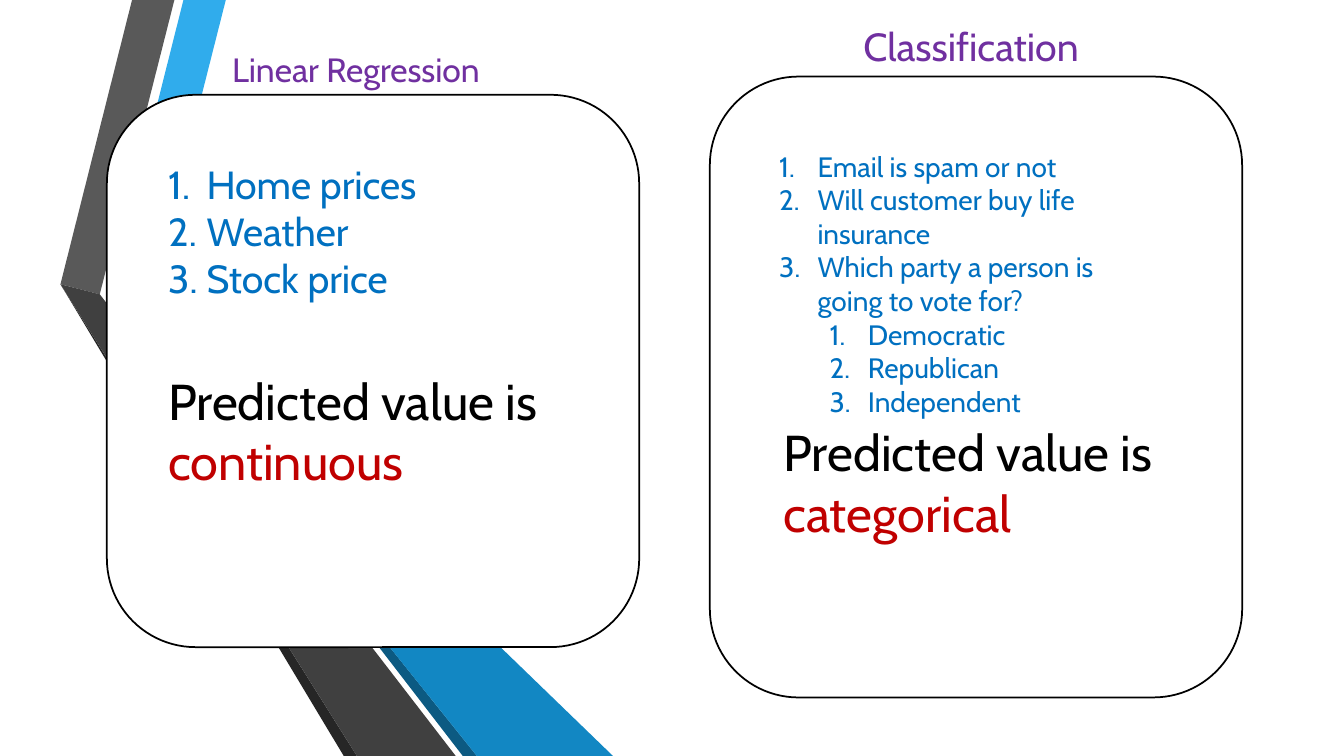
from lxml.etree import SubElement
from pptx import Presentation
from pptx.dml.color import RGBColor
from pptx.enum.shapes import MSO_SHAPE
from pptx.enum.text import MSO_AUTO_SIZE, PP_ALIGN
from pptx.oxml.ns import qn
from pptx.util import Inches, Pt

FONT = "Cabin"
COLORS = {
    "white": "FFFFFF", "black": "000000", "heading": "7030A0",
    "list": "0070C0", "accent": "C00000", "sky": "30ACEC",
    "gray": "595959", "dark": "262626", "navy": "0C5A82",
    "blue": "1287C3", "charcoal": "404040",
}
RIBBONS = [
    ("sky", [(1.08, 2.94), (1.47, 3.04), (2.24, 0), (1.82, 0)]),
    ("gray", [(0.99, 2.92), (1.73, 0), (1.31, 0), (0.6, 2.82)]),
    ("dark", [(0.6, 2.82), (3.41, 7.5), (3.54, 7.5)]),
    ("navy", [(1.08, 2.94), (4.59, 7.5), (4.73, 7.5)]),
    ("blue", [(1.08, 2.94), (4.73, 7.5), (6.08, 7.5), (1.47, 3.04)]),
    ("charcoal", [(0.6, 2.82), (3.54, 7.5), (4.52, 7.5), (0.99, 2.92)]),
]


def rgb(name):
    return RGBColor.from_string(COLORS[name])


def add_ribbons(s, x, y):
    for color, points in RIBBONS:
        corners = [(Inches(x + px), Inches(y + py)) for px, py in points]
        builder = s.shapes.build_freeform(*corners[0], scale=1.0)
        builder.add_line_segments(corners[1:], close=True)
        sp = builder.convert_to_shape()
        sp.shadow.inherit = False
        sp.fill.solid()
        sp.fill.fore_color.rgb = rgb(color)
        sp.line.fill.background()


def number_paragraph(p, level):
    p.level = level
    pPr = p._p.get_or_add_pPr()
    pPr.set("marL", str(Inches(0.38 + 0.5 * level)))
    pPr.set("indent", str(Inches(-0.38)))
    SubElement(pPr, qn("a:buFont"), typeface="+mj-lt")
    SubElement(pPr, qn("a:buAutoNum"), type="arabicPeriod")


def add_text(s, box, lines, size, align=PP_ALIGN.LEFT, numbered=False):
    tf = s.shapes.add_textbox(*map(Inches, box)).text_frame
    tf.word_wrap = True
    tf.auto_size = MSO_AUTO_SIZE.SHAPE_TO_FIT_TEXT
    for i, (text, color, level) in enumerate(lines):
        p = tf.add_paragraph() if i else tf.paragraphs[0]
        p.alignment = align
        if numbered:
            number_paragraph(p, level)
        r = p.add_run()
        r.text = text
        r.font.name = FONT
        r.font.size = Pt(size)
        r.font.color.rgb = rgb(color)


def add_frame(s, box):
    sp = s.shapes.add_shape(MSO_SHAPE.ROUNDED_RECTANGLE, *map(Inches, box))
    sp.shadow.inherit = False
    sp.fill.solid()
    sp.fill.fore_color.rgb = rgb("white")
    sp.line.color.rgb = rgb("black")
    sp.line.width = Pt(1.25)


def add_card(s, box, heading, examples, verdict):
    x, y = box[:2]

    def place(dx, dy, w, h):
        return x + dx, y + dy, w, h

    add_frame(s, box)
    title, title_box, title_size = heading
    add_text(s, place(*title_box), [(title, "heading", 0)], title_size, PP_ALIGN.CENTER)
    items, list_box, list_size = examples
    lines = [(text, "list", level) for text, level in items]
    add_text(s, place(*list_box), lines, list_size, numbered=True)
    kind, verdict_box = verdict
    lines = [("Predicted value is", "black", 0), (kind, "accent", 0)]
    add_text(s, place(*verdict_box), lines, 36)


def main():
    prs = Presentation()
    prs.slide_width, prs.slide_height = Inches(13.33), Inches(7.5)
    s = prs.slides.add_slide(prs.slide_layouts[6])
    add_ribbons(s, 0, 0)
    add_card(
        s, (7.04, 0.76, 5.28, 6.16),
        ("Classification", (0.96, -0.59, 3.26, 0.57), 28),
        ([("Email is spam or not", 0),
          ("Will customer buy life insurance", 0),
          ("Which party a person is going to vote for?", 0),
          ("Democratic", 1), ("Republican", 1), ("Independent", 1)],
         (0.59, 0.67, 3.98, 2.79), 20),
        ("categorical", (0.63, 3.37, 4.01, 1.31)),
    )
    add_card(
        s, (1.06, 0.94, 5.28, 5.48),
        ("Linear Regression", (1.01, -0.5, 2.92, 0.5), 24),
        ([("Home prices", 0), ("Weather", 0), ("Stock price", 0)],
         (0.51, 0.6, 4.01, 1.51), 28),
        ("continuous", (0.51, 2.68, 4.01, 1.31)),
    )
    prs.save("out.pptx")


if __name__ == "__main__":
    main()
